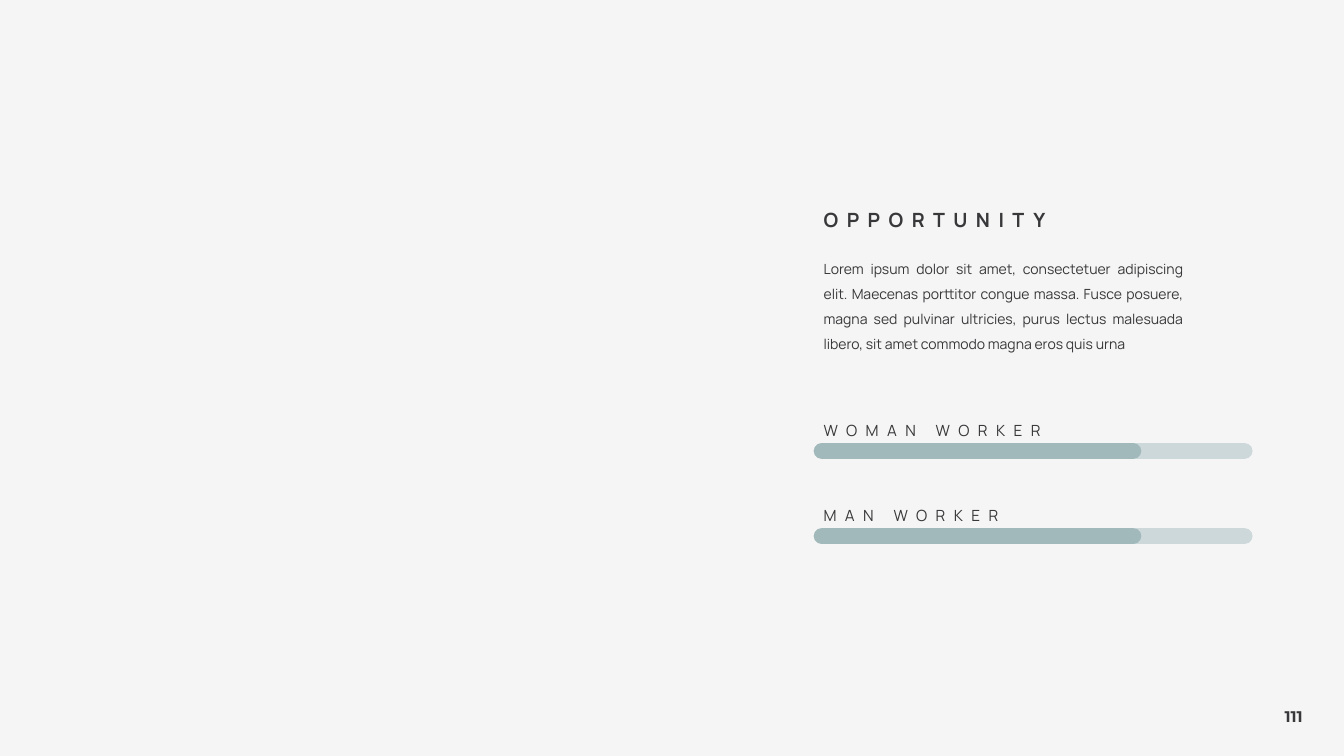
from pptx import Presentation
from pptx.dml.color import RGBColor
from pptx.enum.shapes import MSO_SHAPE
from pptx.enum.text import MSO_ANCHOR, MSO_AUTO_SIZE, PP_ALIGN
from pptx.util import Emu, Pt

PX = 9525  # EMU in one px, 96 px to the inch
BACKGROUND = RGBColor(0xF5, 0xF5, 0xF5)
INK = RGBColor(0x38, 0x38, 0x3A)
TRACK = RGBColor(0xCD, 0xD8, 0xDA)
PROGRESS = RGBColor(0xA1, 0xB9, 0xBB)

LEFT = 775
TEXT_WIDTH = 361
BAR_PITCH = 81
BODY = (
    "Lorem ipsum dolor sit amet, consectetuer adipiscing elit. "
    "Maecenas porttitor congue massa. Fusce posuere, magna sed pulvinar "
    "ultricies, purus lectus malesuada libero, sit amet commodo magna eros "
    "quis urna"
)


def px(*lengths):
    return [Emu(length * PX) for length in lengths]


class SlideBuilder:
    def __init__(self, presentation):
        self.slide = presentation.slides.add_slide(presentation.slide_layouts[6])
        self.font_format = {"name": "Manrope", "bold": False}
        fill = self.slide.background.fill
        fill.solid()
        fill.fore_color.rgb = BACKGROUND

    def text(self, box, text, size, parent=None, spacing=0, wrap=True,
             anchor=MSO_ANCHOR.TOP, align=PP_ALIGN.LEFT, line_spacing=1.5, **font_format):
        shape = (parent or self.slide).shapes.add_textbox(*px(*box))
        frame = shape.text_frame
        paragraph = frame.paragraphs[0]
        run = paragraph.add_run()
        run.text = text
        formats = (
            (frame, {"word_wrap": wrap, "vertical_anchor": anchor,
                     "auto_size": MSO_AUTO_SIZE.SHAPE_TO_FIT_TEXT}),
            (paragraph, {"alignment": align, "line_spacing": line_spacing}),
            (run.font, {**self.font_format, "size": Pt(size), **font_format}),
        )
        for target, values in formats:
            for name, value in values.items():
                setattr(target, name, value)
        run.font.color.rgb = INK
        if spacing:
            run._r.get_or_add_rPr().set("spc", str(spacing * 100))

    def pill(self, parent, box, color):
        shape = parent.shapes.add_shape(MSO_SHAPE.ROUNDED_RECTANGLE, *px(*box))
        shape.adjustments[0] = 0.5
        shape.shadow.inherit = False
        shape.fill.solid()
        shape.fill.fore_color.rgb = color
        shape.line.fill.background()

    def progress_bar(self, top, label):
        group = self.slide.shapes.add_group_shape()
        for width, color in ((418, TRACK), (312, PROGRESS)):
            self.pill(group, (LEFT, top + 34, width, 15), color)
        self.text((LEFT, top, 348, 34), label, 11, parent=group, spacing=6,
                  anchor=MSO_ANCHOR.MIDDLE)


def main():
    presentation = Presentation()
    presentation.slide_width, presentation.slide_height = px(1280, 720)
    builder = SlideBuilder(presentation)

    # Page number
    builder.text((1214, 669, 39, 28), "111", 11, wrap=False, line_spacing=1.0,
                 name="Montserrat", bold=True)

    # Heading and body
    builder.text((LEFT, 235, TEXT_WIDTH, 107), BODY, 10, align=PP_ALIGN.JUSTIFY)
    builder.text((LEFT, 186, TEXT_WIDTH, 39), "OPPORTUNITY", 14, spacing=6,
                 anchor=MSO_ANCHOR.BOTTOM, bold=True)

    # Progress bars
    for index, label in enumerate(("WOMAN WORKER", "MAN WORKER")):
        builder.progress_bar(388 + index * BAR_PITCH, label)

    presentation.save("out.pptx")


if __name__ == "__main__":
    main()
